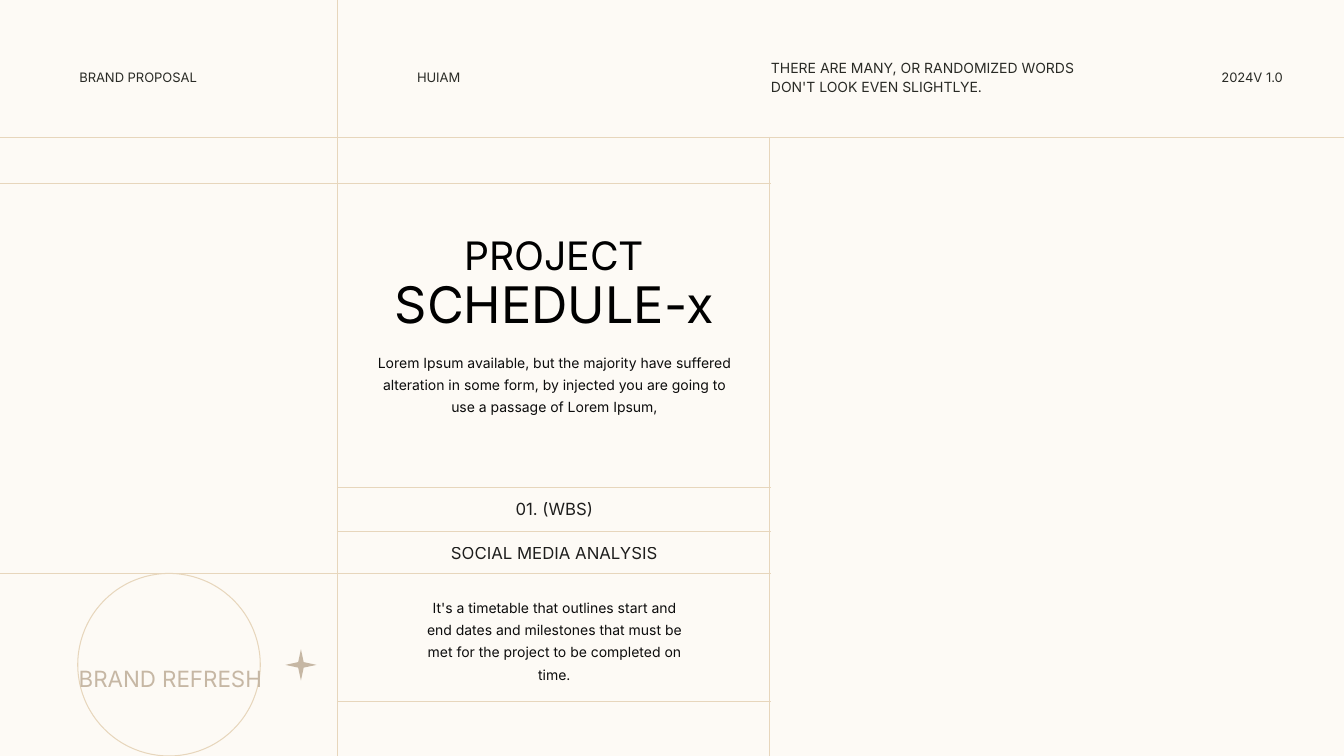
import pptx
import pptx.util
import pptx.dml.color
import pptx.enum.shapes
import pptx.enum.text
import pptx.oxml.ns
import lxml.etree
from dataclasses import dataclass

Cm = pptx.util.Cm
Pt = pptx.util.Pt
Align = pptx.enum.text.PP_ALIGN
Shape = pptx.enum.shapes.MSO_SHAPE
qn = pptx.oxml.ns.qn


@dataclass(frozen=True)
class Theme:
    """Colours, font and type sizes of the slide."""
    font: str = "Inter"
    page: str = "FDFAF5"
    rule: str = "E7D6BC"
    tan: str = "C6B7A4"
    head: str = "292A25"
    body: str = "0D0D0D"
    black: str = "000000"
    small: float = 10
    label: float = 12
    tag: float = 16
    title: float = 28
    large: float = 36
    thin: float = 0.5
    ring: float = 0.75


def tint(code):
    """Turn a hex code into a colour."""
    return pptx.dml.color.RGBColor.from_string(code)


class Board:
    """Draw elements on one slide in one style."""

    def __init__(self, slide, theme):
        """Keep the slide and theme and paint the page."""
        self.slide = slide
        self.theme = theme
        fill = slide.background.fill
        fill.solid()
        fill.fore_color.rgb = tint(theme.page)

    def text(self, words, box, size, color, align=Align.CENTER,
             lead=None, lift=None, alpha=None):
        """Add a text box, with optional leading, raised type and opacity."""
        shape = self.slide.shapes.add_textbox(*map(Cm, box))
        frame = shape.text_frame
        frame.word_wrap = True
        frame.auto_size = pptx.enum.text.MSO_AUTO_SIZE.SHAPE_TO_FIT_TEXT
        para = frame.paragraphs[0]
        para.text = words
        para.alignment = align
        if lead:
            para.line_spacing = Pt(lead)
        font = para.font
        font.name = self.theme.font
        font.size = Pt(size)
        font.color.rgb = tint(color)
        props = para._p.pPr.find(qn("a:defRPr"))
        if lift:
            props.set("baseline", str(lift * 1000))
        if alpha:
            code = props.find(".//" + qn("a:srgbClr"))
            lxml.etree.SubElement(code, qn("a:alpha"), val=str(alpha * 1000))

    def mid(self, words, top, width, height, size, color, **style):
        """Add text centred on the middle column."""
        box = (13.97 - width / 2, top, width, height)
        self.text(words, box, size, color, **style)

    def line(self, x1, y1, x2, y2):
        """Add a thin rule."""
        kind = pptx.enum.shapes.MSO_CONNECTOR.STRAIGHT
        rule = self.slide.shapes.add_connector(kind, *map(Cm, (x1, y1, x2, y2)))
        rule.line.color.rgb = tint(self.theme.rule)
        rule.line.width = Pt(self.theme.thin)
        lxml.etree.SubElement(rule._element.spPr, qn("a:effectLst"))

    def shape(self, kind, box, fill=None, edge=None):
        """Add a preset shape with a fill or an edge."""
        shape = self.slide.shapes.add_shape(kind, *map(Cm, box))
        shape.shadow.inherit = False
        if fill:
            shape.fill.solid()
            shape.fill.fore_color.rgb = tint(fill)
        else:
            shape.fill.background()
        if edge:
            shape.line.color.rgb = tint(edge)
            shape.line.width = Pt(self.theme.ring)
        else:
            shape.line.fill.background()


def main():
    """Build the slide and save it."""
    deck = pptx.Presentation()
    deck.slide_width, deck.slide_height = Cm(33.87), Cm(19.05)
    theme = Theme()
    board = Board(deck.slides.add_slide(deck.slide_layouts[6]), theme)

    wide, high = 33.87, 19.05
    left, right, end = 8.51, 19.38, 19.43
    for x1, x2, y in ((0, wide, 3.45), (0, end, 4.62), (left, end, 12.29),
                      (left, end, 13.39), (0, end, 14.45), (left, end, 17.68)):
        board.line(x1, y, x2, y)
    board.line(left, 0, left, high)
    board.line(right, 3.45, right, high)

    for words, x, width, align in (
            ("BRAND PROPOSAL", 1.75, 4.65, Align.LEFT),
            ("HUIAM", 10.26, 4.65, Align.LEFT),
            ("2024V 1.0", 29.94, 2.64, Align.RIGHT)):
        board.text(words, (x, 1.57, width, 0.71), theme.tag, theme.head,
                   align, lift=30)
    board.text("THERE ARE MANY, OR RANDOMIZED WORDS DON'T LOOK EVEN SLIGHTLYE.",
               (19.18, 1.35, 8.59, 1.14), theme.small, theme.head,
               Align.LEFT, lead=13)

    board.mid("PROJECT", 4.95, 5.36, 1.96, theme.title, theme.black, lead=55)
    board.mid("SCHEDULE-x", 6.35, 10.34, 2.03, theme.large, theme.black, lead=55)
    board.mid("Lorem Ipsum available, but the majority have suffered alteration "
              "in some form, by injected you are going to use a passage of "
              "Lorem Ipsum,", 8.66, 9.73, 1.9, theme.small, theme.body, lead=16)
    for words, top in (("01. (WBS)", 12.45), ("SOCIAL MEDIA ANALYSIS", 13.56)):
        board.mid(words, top, 8.3, 0.76, theme.label, theme.black, alpha=88)
    board.mid("It's a timetable that outlines start and end dates and milestones "
              "that must be met for the project to be completed on time.",
              14.83, 7.32, 2.49, theme.small, theme.body, lead=16)

    board.shape(Shape.OVAL, (1.96, 14.45, 4.6, 4.6), edge=theme.rule)
    board.text("BRAND REFRESH", (1.68, 15.37, 5.23, 1.93), theme.tag, theme.tan,
               lead=55)
    board.shape(Shape.STAR_4_POINT, (7.19, 16.36, 0.79, 0.79), fill=theme.tan)
    deck.save("out.pptx")


if __name__ == "__main__":
    main()
